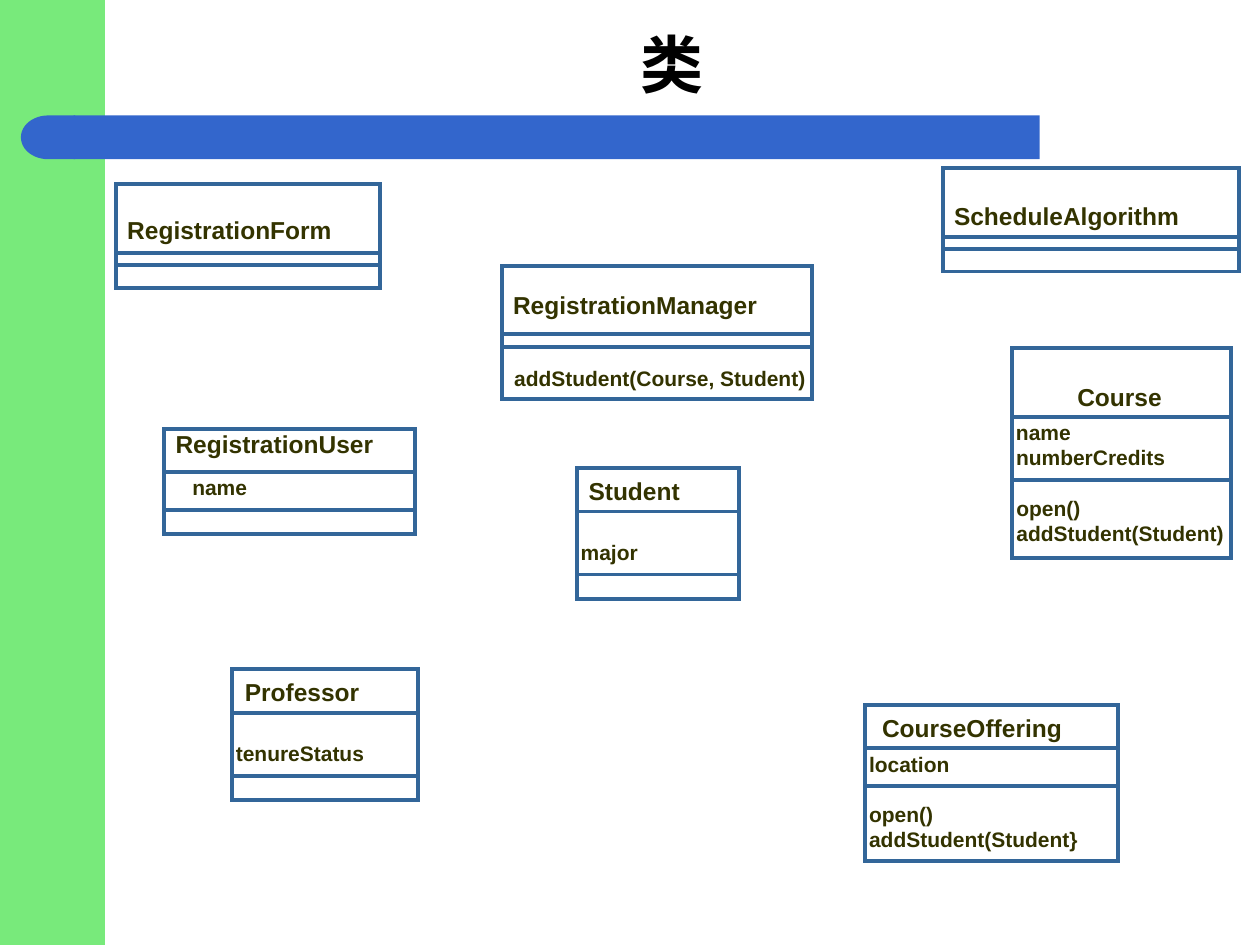
from dataclasses import dataclass

from lxml.etree import SubElement
from pptx import Presentation
from pptx.dml.color import RGBColor
from pptx.enum.shapes import MSO_CONNECTOR, MSO_SHAPE
from pptx.enum.text import MSO_ANCHOR, MSO_AUTO_SIZE, PP_ALIGN
from pptx.oxml.ns import qn
from pptx.util import Pt

COLORS = {
    "band": "78EA7B",
    "bar": "3366CC",
    "outline": "336699",
    "label": "333300",
    "title": "000000",
}
NAME_SIZE, MEMBER_SIZE = 14, 12
ROW_PITCH = 14.4
LINE_WIDTH = 2.25


@dataclass(frozen=True)
class Label:
    text: str
    x: float
    y: float
    w: float


@dataclass(frozen=True)
class ClassBox:
    name: Label
    x: float
    y: float
    w: float
    h: float
    dividers: tuple[float, float]
    members: tuple[Label, ...] = ()


def rows(x: float, y: float, *items: tuple[str, float]) -> tuple[Label, ...]:
    """Stack member labels at the common row pitch."""
    return tuple(Label(text, x, y + i * ROW_PITCH, w)
                 for i, (text, w) in enumerate(items))


CLASSES = [
    ClassBox(Label("RegistrationForm", 72.7, 122.7, 118.5),
             66.2, 105.1, 151.2, 59.4, (144.4, 151.6)),
    ClassBox(Label("RegistrationManager", 293.2, 165.6, 141),
             286.8, 151.9, 177.3, 76.2, (190.9, 198.1)),
    ClassBox(Label("Course", 615.6, 218.2, 50),
             578.2, 199.1, 125.3, 119.8, (238.3, 274.3),
             rows(580.6, 239.8, ("name", 33), ("numberCredits", 87))
             + rows(580.8, 283, ("open()", 38), ("addStudent(Student)", 120))),
    ClassBox(Label("Student", 336.3, 272.2, 54),
             329.7, 267.5, 92.7, 74.9, (292.3, 328.3),
             rows(331.8, 308.2, ("major", 34))),
    ClassBox(Label("CourseOffering", 504, 407.5, 104.5),
             494.1, 402.9, 144.7, 89.3, (427.7, 449.3),
             rows(496.6, 429.3, ("location", 48))
             + rows(496.6, 457.9, ("open()", 38), ("addStudent(Student}", 121))),
    ClassBox(Label("Professor", 139.9, 387.1, 67.5),
             132.5, 382.3, 106.6, 74.9, (407.5, 443.5),
             rows(134.8, 423.4, ("tenureStatus", 75))),
    ClassBox(Label("ScheduleAlgorithm", 545.2, 114.9, 130.5),
             538.6, 95.9, 169.2, 59.3, (135.2, 142.4)),
    ClassBox(Label("RegistrationUser", 100.3, 245.1, 115),
             93.6, 245, 143.5, 60.2, (269.6, 291.2),
             rows(109.9, 271.4, ("name", 33))),
]
MANAGER_MEMBERS = rows(293.8, 208.8, ("addStudent(Course, Student)", 168.5))


def rgb(key: str) -> RGBColor:
    return RGBColor.from_string(COLORS[key])


def write(tf, text: str, *, size: float, color: str, font: str = "Arial",
          align=PP_ALIGN.LEFT) -> None:
    p = tf.paragraphs[0]
    p.alignment = align
    r = p.add_run()
    r.text = text
    r.font.name = font
    r.font.size = Pt(size)
    r.font.bold = True
    r.font.color.rgb = rgb(color)


def set_line(sp, color: str) -> None:
    sp.line.color.rgb = rgb(color)
    sp.line.width = Pt(LINE_WIDTH)
    SubElement(sp.line._get_or_add_ln(), qn("a:miter"), lim="800000")


def add_block(s, kind, x: float, y: float, w: float, h: float, *,
              fill: str | None = None, line: str | None = None):
    sp = s.shapes.add_shape(kind, Pt(x), Pt(y), Pt(w), Pt(h))
    sp.shadow.inherit = False
    if fill:
        sp.fill.solid()
        sp.fill.fore_color.rgb = rgb(fill)
    else:
        sp.fill.background()
    if line:
        set_line(sp, line)
    else:
        sp.line.fill.background()
    return sp


def add_divider(s, x: float, y: float, w: float) -> None:
    sp = s.shapes.add_connector(MSO_CONNECTOR.STRAIGHT,
                                Pt(x), Pt(y), Pt(x + w), Pt(y))
    set_line(sp, "outline")
    SubElement(sp._element.spPr, qn("a:effectLst"))


def add_label(s, label: Label, size: float) -> None:
    sp = s.shapes.add_textbox(Pt(label.x), Pt(label.y), Pt(label.w), Pt(size * 1.2))
    tf = sp.text_frame
    tf.margin_left = tf.margin_right = tf.margin_top = tf.margin_bottom = 0
    tf.word_wrap = False
    tf.auto_size = MSO_AUTO_SIZE.SHAPE_TO_FIT_TEXT
    write(tf, label.text, size=size, color="label")


def add_class(s, box: ClassBox) -> None:
    add_block(s, MSO_SHAPE.RECTANGLE, box.x, box.y, box.w, box.h, line="outline")
    for y in box.dividers:
        add_divider(s, box.x, y, box.w)
    add_label(s, box.name, NAME_SIZE)
    for member in box.members:
        add_label(s, member, MEMBER_SIZE)


def add_title(s, text: str) -> None:
    sp = s.shapes.title
    sp.left, sp.top, sp.width, sp.height = Pt(66.2), Pt(12.2), Pt(635.8), Pt(48.2)
    tf = sp.text_frame
    tf.vertical_anchor = MSO_ANCHOR.MIDDLE
    write(tf, text, size=36, color="title", font="Times New Roman",
          align=PP_ALIGN.CENTER)


def main() -> None:
    prs = Presentation()
    prs.slide_width, prs.slide_height = Pt(720), Pt(540)
    s = prs.slides.add_slide(prs.slide_layouts[5])

    # Side band and title bar with its rounded end
    add_block(s, MSO_SHAPE.RECTANGLE, 0, 0, 60, 540, fill="band")
    bar = add_block(s, MSO_SHAPE.ROUNDED_RECTANGLE, 42, 66, 552, 25, fill="bar")
    bar.adjustments[0] = 0
    cap = add_block(s, MSO_SHAPE.FLOWCHART_DELAY, 12, 66, 31, 25, fill="bar")
    cap._element.spPr.xfrm.set("flipH", "1")

    add_title(s, "类")

    # Class diagram
    for box in CLASSES:
        add_class(s, box)
    for member in MANAGER_MEMBERS:
        add_label(s, member, MEMBER_SIZE)

    prs.save("out.pptx")


if __name__ == "__main__":
    main()
